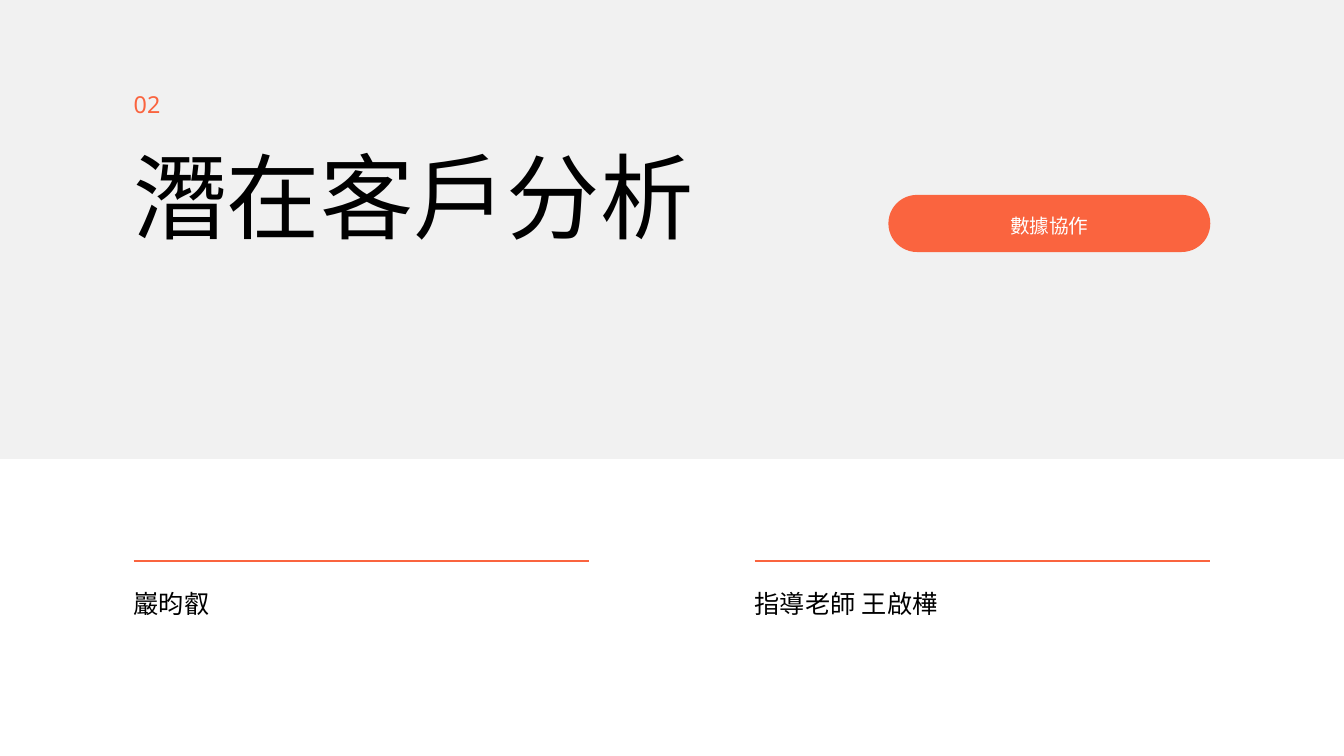
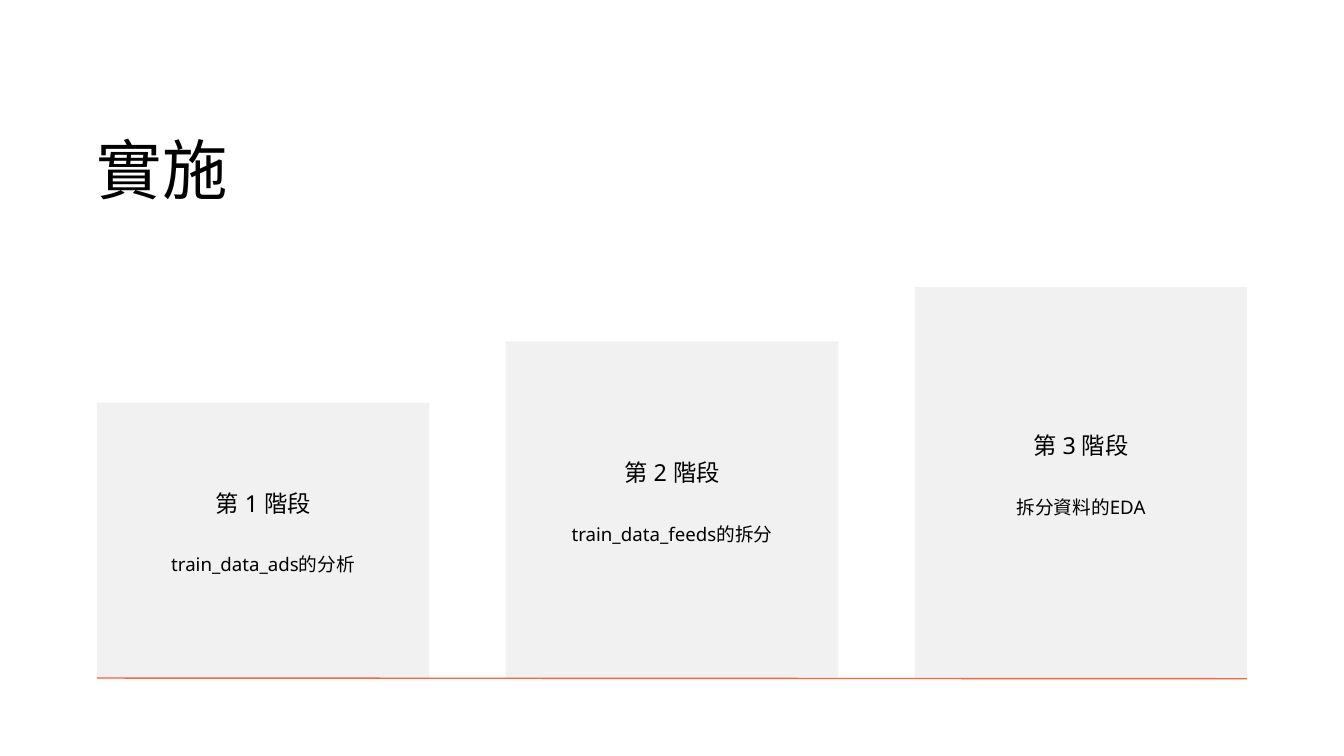
from lxml.etree import SubElement
from pptx import Presentation
from pptx.dml.color import RGBColor
from pptx.enum.shapes import MSO_CONNECTOR as CONNECTOR, MSO_SHAPE as SHAPE
from pptx.enum.text import MSO_ANCHOR as ANCHOR, PP_ALIGN as ALIGN
from pptx.oxml.ns import qn
from pptx.util import Pt

PX = 9144
SLIDE_W, SLIDE_H = 2000, 1125
FONT = "Noto Sans"
ORANGE = RGBColor(0xFA, 0x64, 0x3F)
GREY = RGBColor(0xF1, 0xF1, 0xF1)
BLACK = RGBColor(0, 0, 0)
WHITE = RGBColor(0xFF, 0xFF, 0xFF)


def emu(*lengths):
    """Turn px lengths into EMU."""
    return [round(length * PX) for length in lengths]


def add_block(slide, box, color, kind=SHAPE.RECTANGLE):
    """Draw a plain filled shape without an outline."""
    block = slide.shapes.add_shape(kind, *emu(*box))
    block.shadow.inherit = False
    block.fill.solid()
    block.fill.fore_color.rgb = color
    block.line.fill.background()
    return block


def add_rule(slide, start, end, width):
    """Draw an orange line between two points."""
    rule = slide.shapes.add_connector(CONNECTOR.STRAIGHT, *emu(*start, *end))
    rule.line.color.rgb = ORANGE
    rule.line.width = Pt(width)
    SubElement(rule._element.spPr, qn("a:effectLst"))


def add_text(slide, box, lines, color=BLACK, align=ALIGN.LEFT, anchor=ANCHOR.TOP, inset=0, gap=0):
    """Write lines of (text, size, line spacing) in a box, gap points apart."""
    frame = slide.shapes.add_textbox(*emu(*box)).text_frame
    frame.word_wrap = True
    frame.vertical_anchor = anchor
    frame.margin_left = frame.margin_top = frame.margin_right = frame.margin_bottom = inset * PX
    for index, (text, size, spacing) in enumerate(lines):
        paragraph = frame.add_paragraph() if index else frame.paragraphs[0]
        paragraph.alignment = align
        paragraph.line_spacing = Pt(spacing)
        if index:
            paragraph.space_before = Pt(gap)
        run = paragraph.add_run()
        run.text = text
        run.font.size = Pt(size)
        run.font.color.rgb = color
        run.font.name = FONT
        SubElement(run._r.get_or_add_rPr(), qn("a:ea"), typeface=FONT)


def add_header_band(slide, box, number, title, topic):
    """Draw the grey band with section number, title and topic pill."""
    left, top, width, height = box
    add_block(slide, box, GREY)
    pill_left, pill_top = left + 1322, top + 290
    pill = add_block(slide, (pill_left, pill_top, 479, 85), ORANGE, SHAPE.ROUNDED_RECTANGLE)
    pill.adjustments[0] = 0.5
    add_text(slide, (pill_left + 44, pill_top + 22, 391, 38), [(topic, 21, 29.4)], WHITE, ALIGN.CENTER)
    add_text(slide, (left + 199, top + 221, 1000, 156), [(title, 100, 110)])
    add_text(slide, (left + 199, top + 138, 62, 39), [(number, 25, 27.5)], ORANGE)


def add_credit(slide, box, name):
    """Write a name under an orange rule."""
    left, top, width, height = box
    add_rule(slide, (left, top), (left + width, top), 2)
    add_text(slide, (left, top + 33, width, height - 33), [(name, 27, 37.8)])


def add_stage(slide, box, heading, task):
    """Draw one grey step with its heading and task."""
    left, top, width, height = box
    add_block(slide, box, GREY)
    rise = 33
    add_text(slide, (left, top - rise, width, height + rise), [(heading, 25, 35), (task, 20, 28)],
             align=ALIGN.CENTER, anchor=ANCHOR.MIDDLE, inset=6, gap=35)


def add_staircase(slide, box, stages):
    """Stand the steps on a common baseline, spread evenly over the box."""
    left, top, width, height = box
    step_width = 495
    pitch = (width - step_width) / (len(stages) - 1)
    bottom = top + height
    for index, (step_height, task) in enumerate(stages):
        step = (left + index * pitch, bottom - step_height, step_width, step_height)
        add_stage(slide, step, f"第 {index + 1} 階段", task)
    add_rule(slide, (left, bottom - 2), (left + width, bottom - 1), 1.5)


def build_section_slide(slide):
    """Build the section opener."""
    add_header_band(slide, (0, 0, SLIDE_W, 683), "02", "潛在客戶分析", "數據協作")
    for left, name in ((199, "巖昀叡"), (1123, "指導老師 王啟樺")):
        add_credit(slide, (left, 835, 678, 81), name)


def build_stages_slide(slide):
    """Build the slide with the three stages."""
    add_text(slide, (144, 192, 885, 115), [("實施", 70, 84)])
    stages = [(412, "train_data_ads的分析"), (503, "train_data_feeds的拆分"), (584, "拆分資料的EDA")]
    add_staircase(slide, (144, 427, 1712, 584), stages)


def main():
    """Build and save the presentation."""
    deck = Presentation()
    deck.slide_width, deck.slide_height = emu(SLIDE_W, SLIDE_H)
    for build in (build_section_slide, build_stages_slide):
        build(deck.slides.add_slide(deck.slide_layouts[6]))
    deck.save("out.pptx")


if __name__ == "__main__":
    main()
